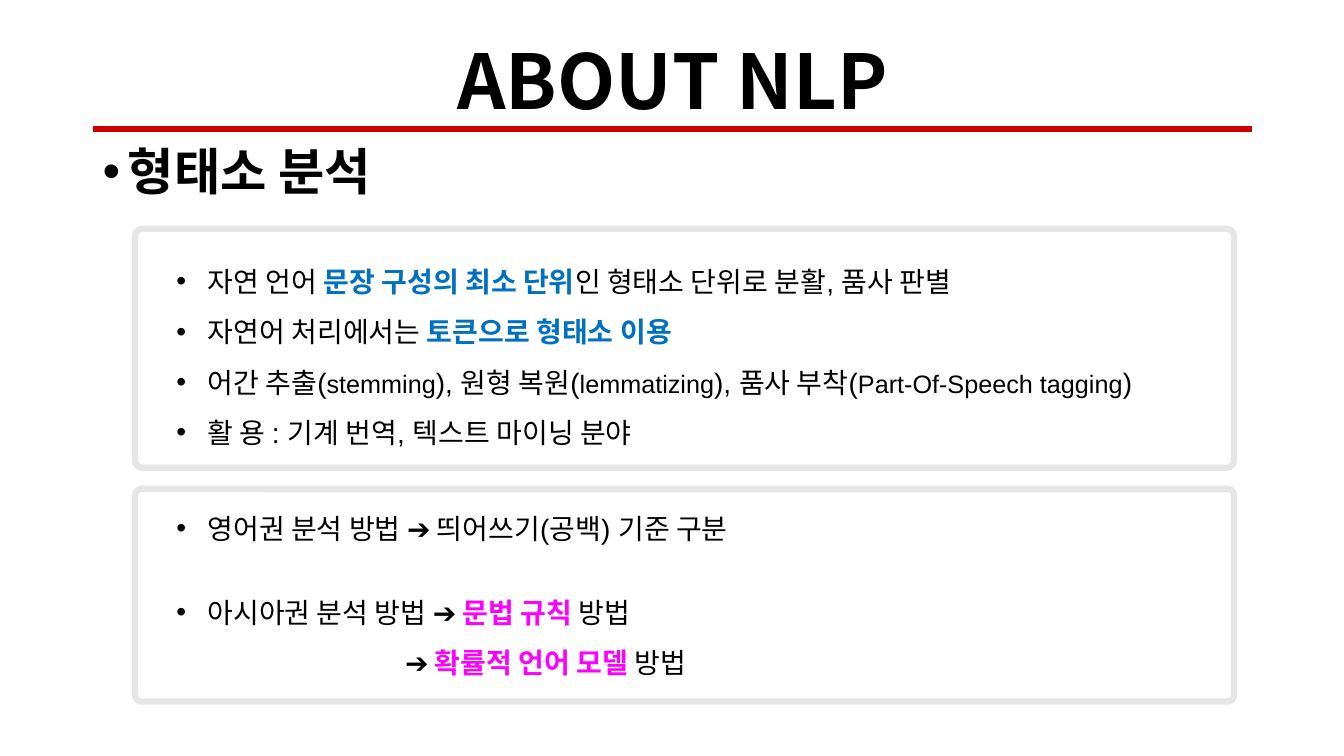
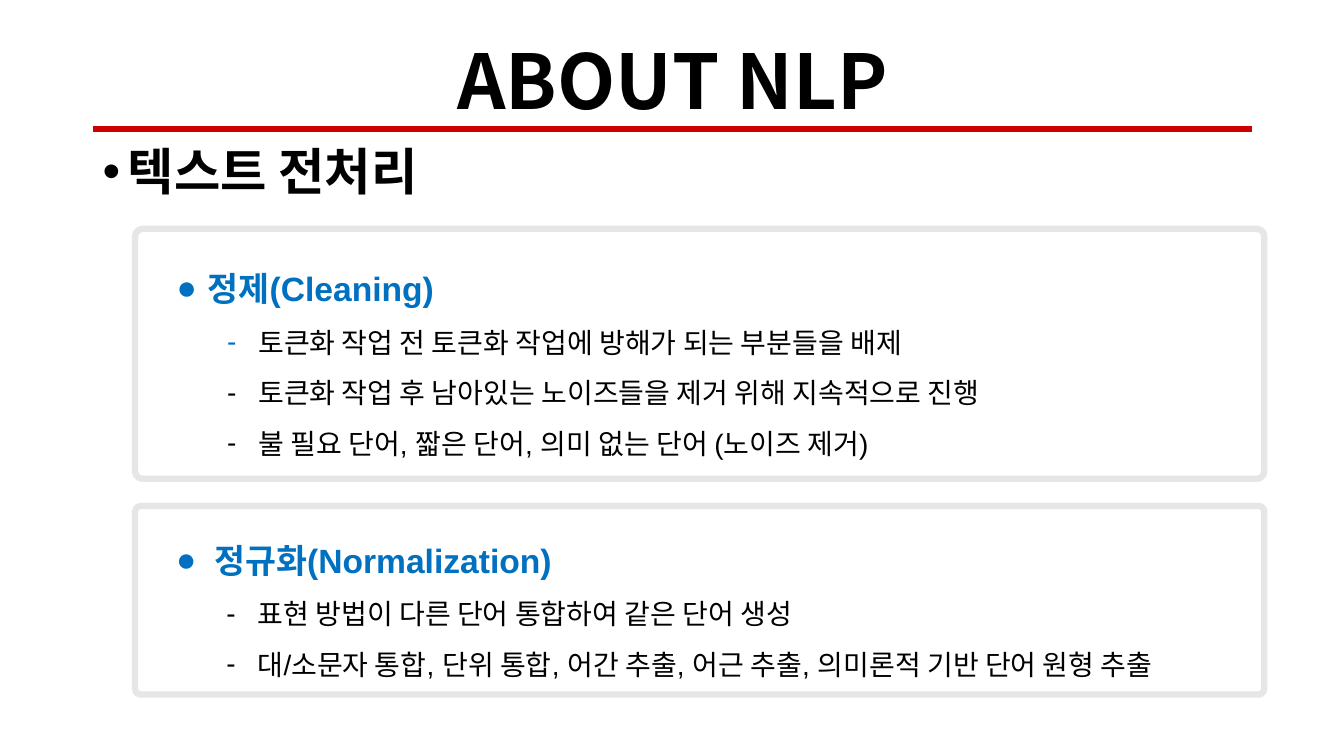
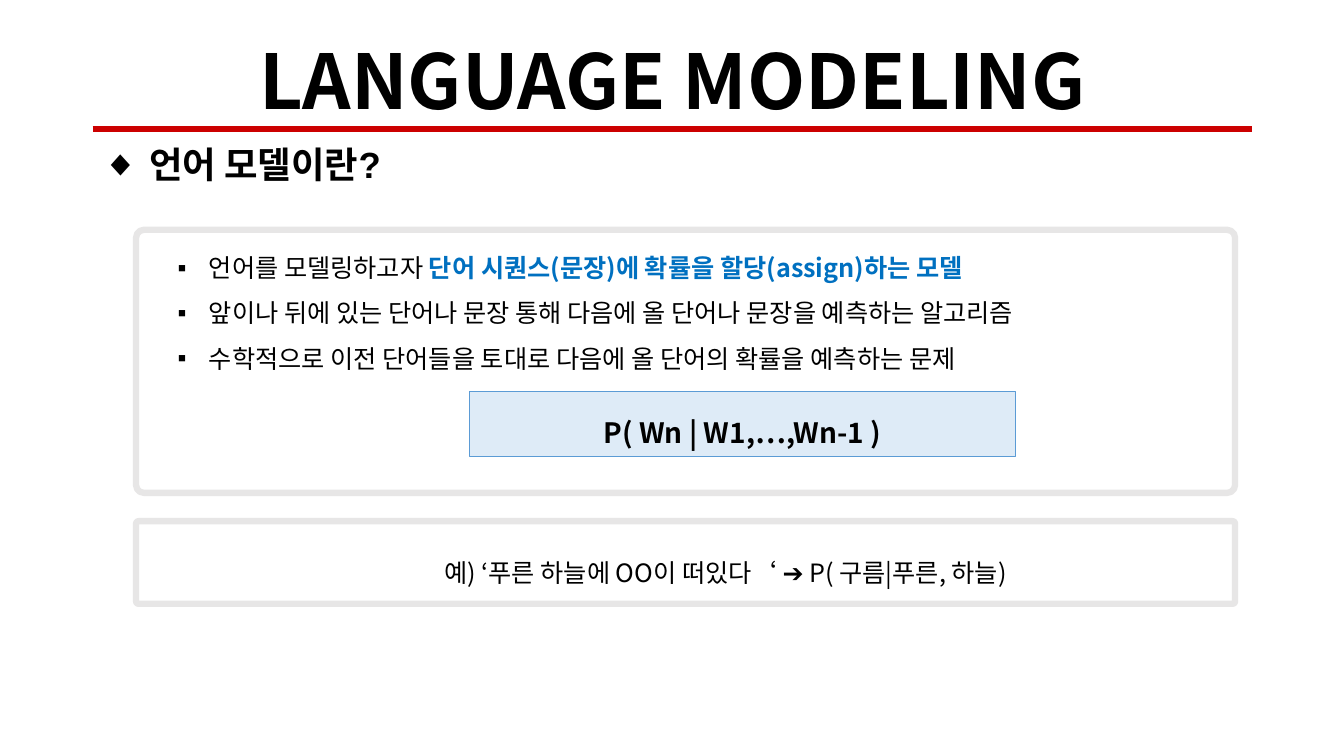
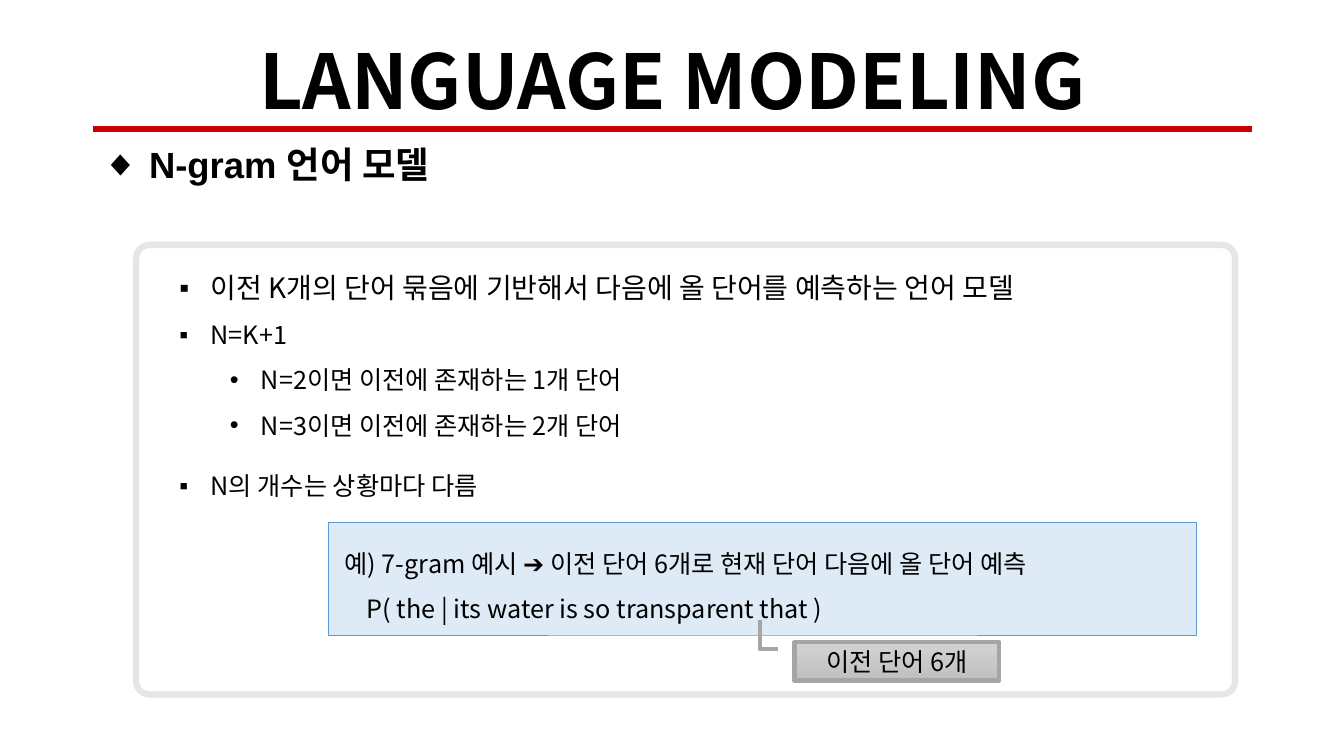
from lxml import etree
from pptx import Presentation
from pptx.dml.color import RGBColor
from pptx.enum import shapes, text
from pptx.oxml.ns import qn
from pptx.util import Inches, Pt

COLORS = {
    "ink": "000000", "rule": "CC0000", "paper": "FFFFFF", "frame": "E7E6E6",
    "blue": "0070C0", "pink": "FF00FF", "formula": "DEEBF7",
    "formula_edge": "5B9BD5", "callout_edge": "A5A5A5",
    "callout_top": "D2D2D2", "callout_bottom": "C0C0C0",
}
ARIAL = "Arial"
NOTO = "Noto Sans CJK KR"
KIND = shapes.MSO_SHAPE
MIDDLE = text.MSO_ANCHOR.MIDDLE
TOP = text.MSO_ANCHOR.TOP
CENTER = text.PP_ALIGN.CENTER
LEFT = text.PP_ALIGN.LEFT


def rgb(name):
    return RGBColor.from_string(COLORS[name])


def item(*spans, **style):
    return {"spans": spans, **style}


def strong(words, color):
    return words, {"bold": True, "color": color}


def small(words):
    return words, {"size": 18}


def set_font(font, size=None, name=None, color=None, bold=None):
    if size:
        font.size = Pt(size)
    if color:
        font.color.rgb = rgb(color)
    if name:
        font.name = name
    if bold is not None:
        font.bold = bold


def write_para(para, spans, size=20, font=ARIAL, color="ink", bold=False,
               bullet=None, bullet_color=None, left=0, hang=0, level=0,
               spacing=1.5, before=0, align=LEFT):
    para.alignment = align
    para.level = level
    para.line_spacing = spacing
    para.space_before = Pt(before)
    set_font(para.font, size, font, color, bold)
    props = para._p.get_or_add_pPr()
    props.set("marL", str(Inches(left)))
    props.set("indent", str(-Inches(hang)))
    defaults = props.find(qn("a:defRPr"))
    etree.SubElement(defaults, qn("a:ea")).set("typeface", NOTO)
    if bullet:
        if bullet_color:
            tint = etree.Element(qn("a:buClr"))
            etree.SubElement(tint, qn("a:srgbClr")).set("val", COLORS[bullet_color])
            defaults.addprevious(tint)
        for tag, key, value in (("a:buFont", "typeface", ARIAL), ("a:buChar", "char", bullet)):
            mark = etree.Element(qn(tag))
            mark.set(key, value)
            defaults.addprevious(mark)
    for part in spans:
        words, style = (part, {}) if isinstance(part, str) else part
        span = para.add_run()
        span.text = words
        set_font(span.font, **style)


def write(shape, items, anchor=MIDDLE, inset=0.1, **shared):
    frame = shape.text_frame
    frame.word_wrap = True
    frame.auto_size = text.MSO_AUTO_SIZE.NONE
    frame.vertical_anchor = anchor
    frame.margin_left = Inches(inset)
    frame.margin_right = Inches(0.1)
    frame.margin_top = frame.margin_bottom = Inches(0.05)
    for index, entry in enumerate(items):
        para = frame.add_paragraph() if index else frame.paragraphs[0]
        write_para(para, **{**shared, **entry})


def add_block(page, kind, box, fill, edge, weight):
    shape = page.shapes.add_shape(kind, *map(Inches, box))
    shape.shadow.inherit = False
    if fill:
        shape.fill.solid()
        shape.fill.fore_color.rgb = rgb(fill)
    shape.line.color.rgb = rgb(edge)
    shape.line.width = Pt(weight)
    return shape


def add_panel(page, box, items, **shared):
    shape = add_block(page, KIND.ROUNDED_RECTANGLE, box, "paper", "frame", 4.5)
    shape.adjustments[0] = 0.03
    write(shape, items, inset=0.39, **shared)


def add_formula(page, box, items, **shared):
    shape = add_block(page, KIND.RECTANGLE, box, "formula", "formula_edge", 0.5)
    write(shape, items, font=NOTO, **shared)


def add_callout(page, box, words):
    shape = add_block(page, KIND.LINE_CALLOUT_2, box, None, "callout_edge", 3)
    for index, value in enumerate((0.19, -0.08, 0.19, -0.17, -0.57, -0.17)):
        shape.adjustments[index] = value
    shape.fill.gradient()
    shape.fill.gradient_angle = 270
    for stop, offset, color in zip(shape.fill.gradient_stops, (0, 1),
                                   ("callout_top", "callout_bottom")):
        stop.position = offset
        stop.color.rgb = rgb(color)
    write(shape, [item(words)], size=18, font=NOTO, spacing=1, align=CENTER)


def add_page(deck, title, heading, **heading_style):
    page = deck.slides.add_slide(deck.slide_layouts[5])
    holder = page.shapes.title
    holder.left, holder.top, holder.width, holder.height = map(Inches, (0.92, 0.4, 11.5, 0.88))
    write(holder, [item(title)], size=54, font=NOTO, bold=True, spacing=0.9, align=CENTER)
    box = page.shapes.add_textbox(*map(Inches, (0.92, 1.41, 11.5, 0.75)))
    write(box, [item(heading)], anchor=TOP, bold=True, spacing=0.9, before=10, **heading_style)
    rule = page.shapes.add_connector(shapes.MSO_CONNECTOR.STRAIGHT,
                                     *map(Inches, (0.92, 1.28, 12.42, 1.28)))
    rule.line.color.rgb = rgb("rule")
    rule.line.width = Pt(4.5)
    etree.SubElement(rule._element.spPr, qn("a:effectLst"))
    return page


DOT_HEADING = {"size": 36, "bullet": "•", "left": 0.25, "hang": 0.25}
DIAMOND_HEADING = {"size": 26, "bullet": "◆", "left": 0.46, "hang": 0.46}
DOT = {"bullet": "•", "left": 0.31, "hang": 0.31}
SQUARE = {**DOT, "bullet": "▪"}
SUB_DOT = {"bullet": "•", "left": 0.81, "hang": 0.31, "level": 1}
SUB_DASH = {**SUB_DOT, "bullet": "-"}
TOPIC = {"size": 24, "color": "blue", "bold": True, "bullet": "●"}


def build_morphemes(deck):
    page = add_page(deck, "ABOUT NLP", "형태소 분석", **DOT_HEADING)
    add_panel(page, (1.34, 2.27, 10.9, 2.37), [
        item("자연 언어 ", strong("문장 구성의 최소 단위", "blue"),
             "인 형태소 단위로 분활, 품사 판별"),
        item("자연어 처리에서는 ", strong("토큰으로 형태소 이용", "blue")),
        item("어간 추출(", small("stemming"), "), 원형 복원(", small("lemmatizing"),
             "), 품사 부착(", small("Part-Of-Speech tagging"), ")"),
        item("활 용 : 기계 번역, 텍스트 마이닝 분야"),
    ], **DOT)
    add_panel(page, (1.34, 4.85, 10.9, 2.11), [
        item("영어권 분석 방법 ➔ 띄어쓰기(공백) 기준 구분", spacing=1, **DOT),
        item("아시아권 분석 방법 ➔ ", strong("문법 규칙 ", "pink"), "방법", before=24, **DOT),
        item("➔ ", strong("확률적 언어 모델 ", "pink"), "방법", left=2.27),
    ])


def build_preprocessing(deck):
    page = add_page(deck, "ABOUT NLP", "텍스트 전처리", **DOT_HEADING)
    add_panel(page, (1.34, 2.27, 11.2, 2.48), [
        item("정제(Cleaning)", left=0.31, hang=0.31, **TOPIC),
        item("토큰화 작업 전 토큰화 작업에 방해가 되는 부분들을 배제",
             bullet_color="blue", **SUB_DASH),
        item("토큰화 작업 후 남아있는 노이즈들을 제거 위해 지속적으로 진행", **SUB_DASH),
        item("불 필요 단어, 짧은 단어, 의미 없는 단어 (노이즈 제거)", **SUB_DASH),
    ])
    add_panel(page, (1.34, 5.02, 11.2, 1.87), [
        item("정규화(Normalization)", left=0.38, hang=0.38, **TOPIC),
        item("표현 방법이 다른 단어 통합하여 같은 단어 생성", **SUB_DASH),
        item("대/소문자 통합, 단위 통합, 어간 추출, 어근 추출, 의미론적 기반 단어 원형 추출",
             **SUB_DASH),
    ])


def build_language_model(deck):
    page = add_page(deck, "LANGUAGE MODELING", "언어 모델이란?", **DIAMOND_HEADING)
    add_panel(page, (1.35, 2.28, 10.9, 2.61), [
        item("언어를 모델링하고자 ",
             strong("단어 시퀀스(문장)에 확률을 할당(assign)하는 모델", "blue")),
        item("앞이나 뒤에 있는 단어나 문장 통해 다음에 올 단어나 문장을 예측하는 알고리즘"),
        item("수학적으로 이전 단어들을 토대로 다음에 올 단어의 확률을 예측하는 문제"),
    ], anchor=TOP, size=18, font=NOTO, **SQUARE)
    add_formula(page, (4.66, 3.88, 5.41, 0.65), [item("P( Wn | W1,…,Wn-1 )")],
                bold=True, align=CENTER)
    add_panel(page, (1.35, 5.17, 10.9, 0.82), [
        item("예) ‘푸른 하늘에 OO이 떠있다‘ ➔ P( 구름|푸른, 하늘)"),
    ], anchor=TOP, size=18, font=NOTO, left=0.5, level=1, spacing=2, align=CENTER)


def build_ngram(deck):
    page = add_page(deck, "LANGUAGE MODELING", "N-gram 언어 모델", **DIAMOND_HEADING)
    add_panel(page, (1.35, 2.43, 10.9, 4.46), [
        item("이전 K개의 단어 묶음에 기반해서 다음에 올 단어를 예측하는 언어 모델",
             size=20, **SQUARE),
        item("N=K+1", **SQUARE),
        item("N=2이면 이전에 존재하는 1개 단어", **SUB_DOT),
        item("N=3이면 이전에 존재하는 2개 단어", **SUB_DOT),
        item("N의 개수는 상황마다 다름", spacing=2, **SQUARE),
    ], anchor=TOP, size=18, font=NOTO)
    add_formula(page, (3.26, 5.18, 8.61, 1.12), [
        item("예) 7-gram 예시 ➔ 이전 단어 6개로 현재 단어 다음에 올 단어 예측", left=0.06),
        item("P( the | its water is so transparent that )", left=0.28),
    ], size=18)
    add_callout(page, (7.88, 6.37, 2.03, 0.38), "이전 단어 6개")


def main():
    deck = Presentation()
    deck.slide_width = Inches(13.33)
    deck.slide_height = Inches(7.5)
    for build in (build_morphemes, build_preprocessing, build_language_model, build_ngram):
        build(deck)
    deck.save("out.pptx")


if __name__ == "__main__":
    main()
